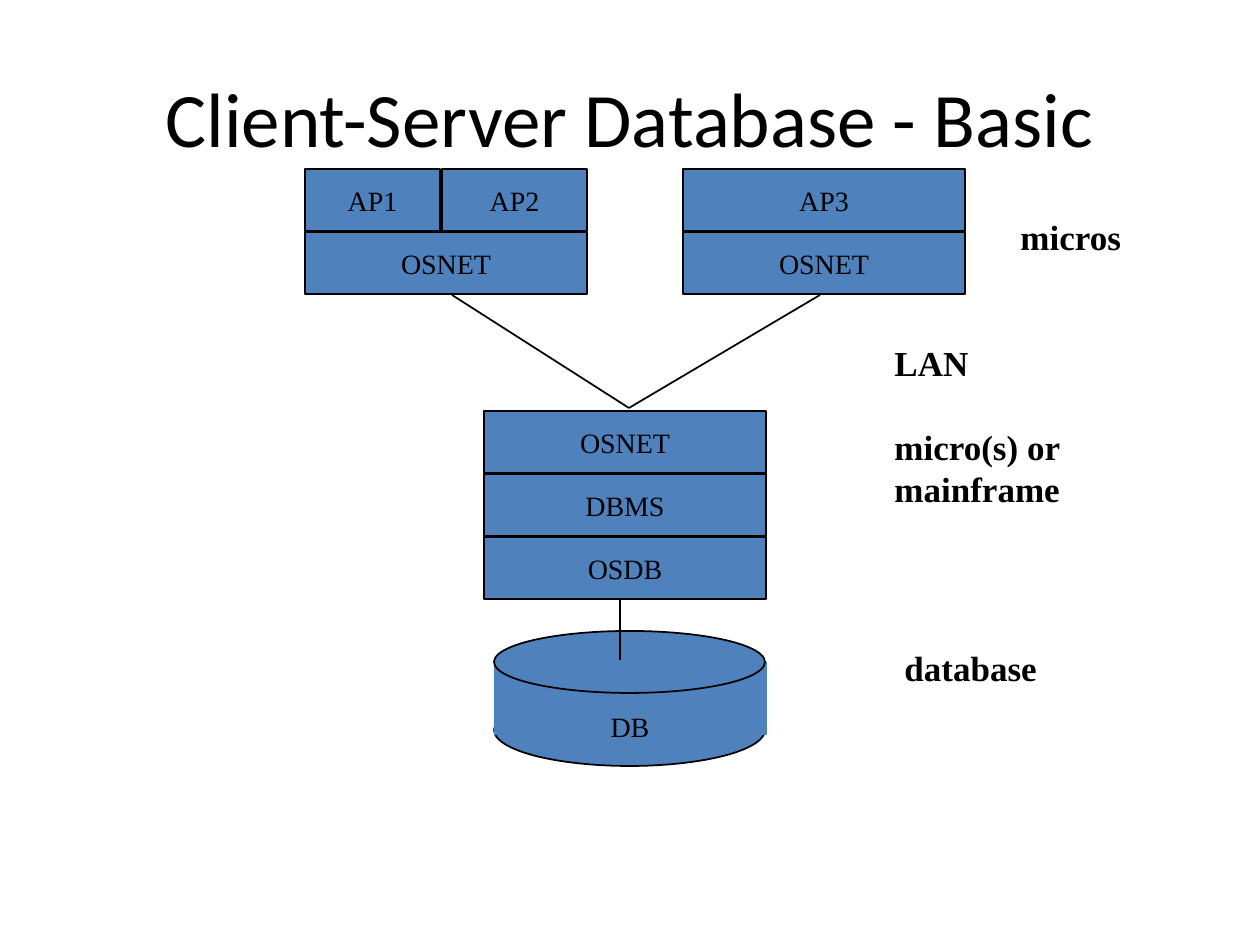
import dataclasses

import pptx
import pptx.dml.color
import pptx.enum.shapes
import pptx.enum.text
import pptx.oxml.ns
import pptx.util
from lxml import etree

PX_PER_INCH = 126
SHAPE = pptx.enum.shapes.MSO_SHAPE
ALIGN = pptx.enum.text.PP_ALIGN
ANCHOR = pptx.enum.text.MSO_ANCHOR


@dataclasses.dataclass(frozen=True)
class Theme:
    ink: str = "000000"
    block: str = "4F81BD"
    paper: str = "FFFFFF"
    title_font: str = "Calibri"
    body_font: str = "Times New Roman"
    title_size: int = 44
    block_size: int = 16
    label_size: int = 20
    line_width: int = 1


THEME = Theme()
LAYER_HEIGHT = 62
LAYER_PITCH = 63
STACK_WIDTH = 282
SPLIT_GAP = 2


def px(*lengths):
    return [pptx.util.Emu(round(length * 914400 / PX_PER_INCH)) for length in lengths]


def rgb(colour):
    return pptx.dml.color.RGBColor.from_string(colour)


def write(frame, words, size, font, align, bold=False):
    paragraph = frame.paragraphs[0]
    paragraph.alignment = align
    run = paragraph.add_run()
    run.text = words
    run.font.name = font
    run.font.size = pptx.util.Pt(size)
    run.font.bold = bold
    run.font.color.rgb = rgb(THEME.ink)


def ink_line(line):
    line.color.rgb = rgb(THEME.ink)
    line.width = pptx.util.Pt(THEME.line_width)


def add_title(slide, words):
    title = slide.shapes.title
    title.left, title.top, title.width, title.height = px(63, 38, 1134, 157)
    title.text_frame.vertical_anchor = ANCHOR.MIDDLE
    write(title.text_frame, words, THEME.title_size, THEME.title_font, ALIGN.CENTER)


def add_block(slide, kind, left, top, width, height, outlined=True):
    block = slide.shapes.add_shape(kind, *px(left, top, width, height))
    block.shadow.inherit = False
    block.fill.solid()
    block.fill.fore_color.rgb = rgb(THEME.block)
    if outlined:
        ink_line(block.line)
    else:
        block.line.fill.background()
    return block


def add_layer(slide, words, left, top, width):
    layer = add_block(slide, SHAPE.RECTANGLE, left, top, width, LAYER_HEIGHT)
    layer.text_frame.word_wrap = False
    layer.text_frame.vertical_anchor = ANCHOR.MIDDLE
    write(layer.text_frame, words, THEME.block_size, THEME.body_font, ALIGN.CENTER)


def add_stack(slide, left, top, layers):
    for depth, cells in enumerate(layers):
        cell_left = left
        for words, width in cells:
            add_layer(slide, words, cell_left, top + depth * LAYER_PITCH, width)
            cell_left += width + SPLIT_GAP


def add_text(slide, words, left, top, width, height, size, align, bold):
    box = slide.shapes.add_textbox(*px(left, top, width, height))
    box.text_frame.word_wrap = True
    box.text_frame.auto_size = pptx.enum.text.MSO_AUTO_SIZE.SHAPE_TO_FIT_TEXT
    write(box.text_frame, words, size, THEME.body_font, align, bold)


def add_link(slide, start, end):
    link = slide.shapes.add_connector(
        pptx.enum.shapes.MSO_CONNECTOR.STRAIGHT, *px(*start, *end))
    ink_line(link.line)
    etree.SubElement(link._element.spPr, pptx.oxml.ns.qn("a:effectLst"))


def add_database(slide, left, top):
    add_block(slide, SHAPE.OVAL, left, top + 63, 271, 72)
    add_block(slide, SHAPE.RECTANGLE, left, top + 31, 273, 73, outlined=False)
    add_block(slide, SHAPE.OVAL, left, top, 271, 62)
    add_text(slide, "DB", left + 93, top + 72, 86, 45,
             THEME.block_size, ALIGN.CENTER, False)


def main():
    deck = pptx.Presentation()
    deck.slide_width, deck.slide_height = px(1260, 945)
    slide = deck.slides.add_slide(deck.slide_layouts[5])
    slide.background.fill.solid()
    slide.background.fill.fore_color.rgb = rgb(THEME.paper)

    add_title(slide, "Client-Server Database - Basic")

    network = [("OSNET", STACK_WIDTH)]
    add_stack(slide, 305, 169, [[("AP1", 135), ("AP2", 145)], network])
    add_stack(slide, 683, 169, [[("AP3", STACK_WIDTH)], network])
    add_stack(slide, 484, 411, [network, [("DBMS", STACK_WIDTH)], [("OSDB", STACK_WIDTH)]])
    add_database(slide, 494, 631)

    server_port = (629, 408)
    add_link(slide, (452, 295), server_port)
    add_link(slide, (820, 295), server_port)
    add_link(slide, (620, 600), (620, 660))

    tier_labels = [
        ("micros", 1008, 209, 169, 54),
        ("LAN", 882, 335, 159, 54),
        ("micro(s) or mainframe", 882, 419, 232, 96),
        ("database", 892, 640, 253, 54),
    ]
    for words, *place in tier_labels:
        add_text(slide, words, *place, THEME.label_size, ALIGN.LEFT, True)

    deck.save("out.pptx")


if __name__ == "__main__":
    main()
